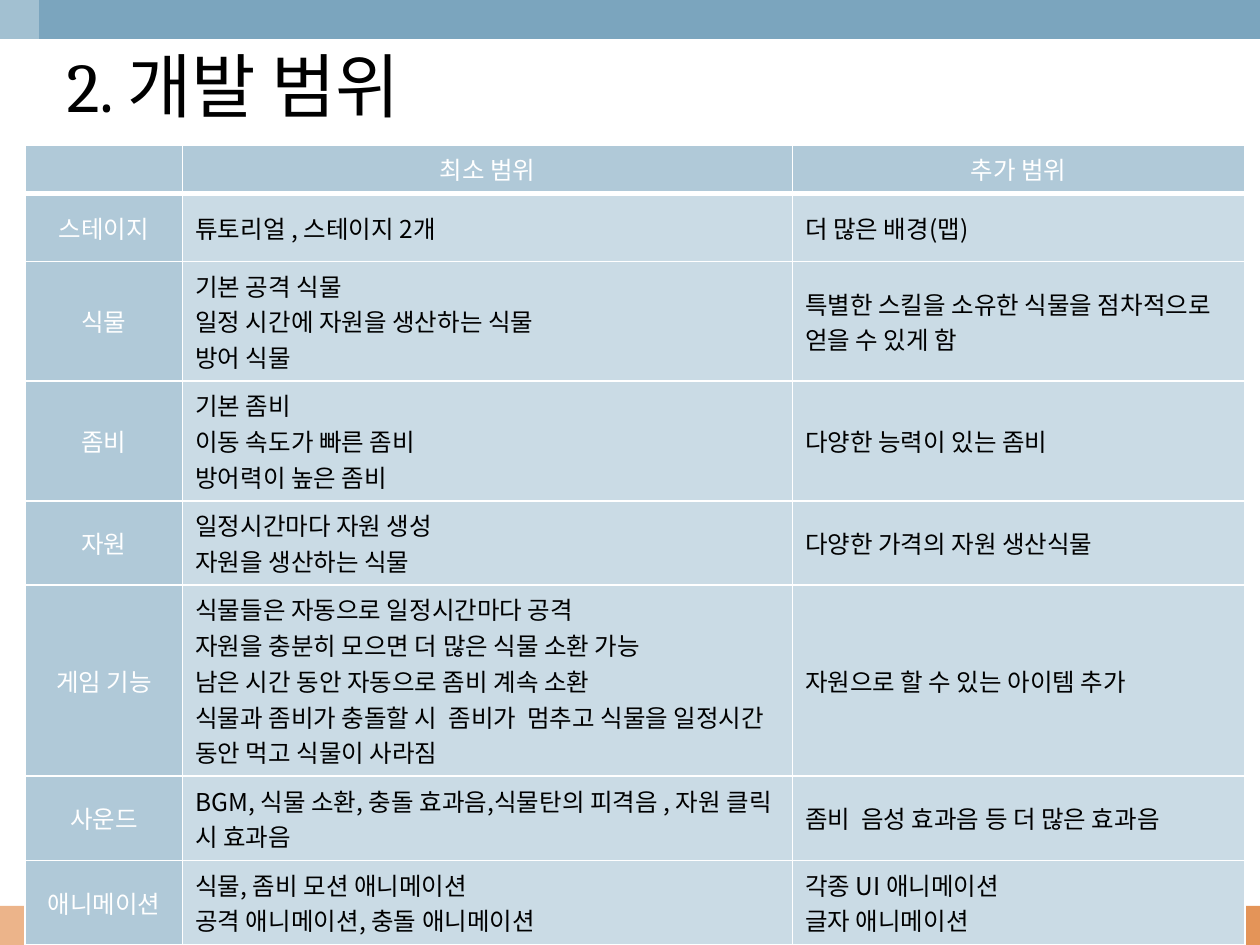
"""Build the development scope slide: a title over a table of minimum and extra scope."""
from lxml import etree
from pptx import Presentation
from pptx.dml.color import RGBColor
from pptx.enum import shapes, text
from pptx.oxml import ns
from pptx.util import Inches, Pt

COLORS = {"blue": "7BA5BE", "orange": "E49458", "white": "FFFFFF", "black": "000000",
          "heading": "B0C9D8", "body": "CADBE5"}
KOREAN = "Noto Sans CJK KR"
ROWS = [
    (0.16, "", "최소 범위", "추가 범위"),
    (0.54, "스테이지", "튜토리얼 , 스테이지 2개", "더 많은 배경(맵)"),
    (0.86, "식물", "기본 공격 식물\n일정 시간에 자원을 생산하는 식물\n방어 식물",
     "특별한 스킬을 소유한 식물을 점차적으로 얻을 수 있게 함"),
    (0.66, "좀비", "기본 좀비\n이동 속도가 빠른 좀비\n방어력이 높은 좀비", "다양한 능력이 있는 좀비"),
    (0.47, "자원", "일정시간마다 자원 생성\n자원을 생산하는 식물", "다양한 가격의 자원 생산식물"),
    (1.39, "게임 기능",
     "식물들은 자동으로 일정시간마다 공격\n자원을 충분히 모으면 더 많은 식물 소환 가능\n"
     "남은 시간 동안 자동으로 좀비 계속 소환\n"
     "식물과 좀비가 충돌할 시  좀비가  멈추고 식물을 일정시간 동안 먹고 식물이 사라짐",
     "자원으로 할 수 있는 아이템 추가"),
    (0.5, "사운드", "BGM, 식물 소환, 충돌 효과음,식물탄의 피격음 , 자원 클릭 시 효과음",
     "좀비  음성 효과음 등 더 많은 효과음"),
    (0.63, "애니메이션", "식물, 좀비 모션 애니메이션\n공격 애니메이션, 충돌 애니메이션",
     "각종 UI 애니메이션\n글자 애니메이션"),
]


def style_font(font, name, size, color):
    font.name, font.size = name, Pt(size)
    font.color.rgb = RGBColor.from_string(COLORS[color])
    etree.SubElement(font._element, ns.qn("a:ea"), typeface=KOREAN)


def add_border(cell, index, side, points):
    line = etree.Element(ns.qn(f"a:ln{side}"), w=str(Pt(points)))
    fill = etree.SubElement(line, ns.qn("a:solidFill"))
    etree.SubElement(fill, ns.qn("a:srgbClr"), val=COLORS["white"])
    cell._tc.get_or_add_tcPr().insert(index, line)


deck = Presentation()
deck.slide_width, deck.slide_height = Inches(10), Inches(7.5)
page = deck.slides.add_slide(deck.slide_layouts[6])

for left, top, width, height, color in [
    (0, 7.19, 10, 0.31, "orange"),
    (0, 0, 10, 0.31, "blue"),
    (0, 0, 0.31, 7.5, "white"),
]:
    band = page.shapes.add_shape(shapes.MSO_SHAPE.RECTANGLE, Inches(left), Inches(top),
                                 Inches(width), Inches(height))
    band.shadow.inherit = False
    band.fill.solid()
    band.fill.fore_color.rgb = RGBColor.from_string(COLORS[color])
    band.line.fill.background()
tint = band._element.spPr.find(".//" + ns.qn("a:srgbClr"))
etree.SubElement(tint, ns.qn("a:alpha"), val="30000")

table = page.shapes.add_table(len(ROWS), 3, Inches(0.2), Inches(1.15),
                              Inches(9.69), Inches(5.68)).table
for column, width in zip(table.columns, (1.25, 4.84, 3.59)):
    column.width = Inches(width)

for r, (height, *entries) in enumerate(ROWS):
    table.rows[r].height = Inches(height)
    for c, entry in enumerate(entries):
        cell = table.cell(r, c)
        heading = r == 0 or c == 0
        cell.vertical_anchor = text.MSO_ANCHOR.MIDDLE
        cell.fill.solid()
        cell.fill.fore_color.rgb = RGBColor.from_string(COLORS["heading" if heading else "body"])
        for index, side in enumerate("LRTB"):
            add_border(cell, index, side, 3 if r == 0 and side == "B" else 1)
        cell.text = entry
        for para in cell.text_frame.paragraphs:
            para.alignment = text.PP_ALIGN.CENTER if heading else text.PP_ALIGN.LEFT
            style_font(para.font, KOREAN, 14, "white" if heading else "black")
            if not entry:
                etree.SubElement(para._p, ns.qn("a:endParaRPr"), sz="1400")

box = page.shapes.add_textbox(Inches(0.43), Inches(0.29), Inches(5.67), Inches(0.77))
box.text_frame.word_wrap = True
box.text_frame.auto_size = text.MSO_AUTO_SIZE.SHAPE_TO_FIT_TEXT
title = box.text_frame.paragraphs[0]
title.text = "2. 개발 범위"
style_font(title.font, "Cambria", 40, "black")

deck.save("out.pptx")
